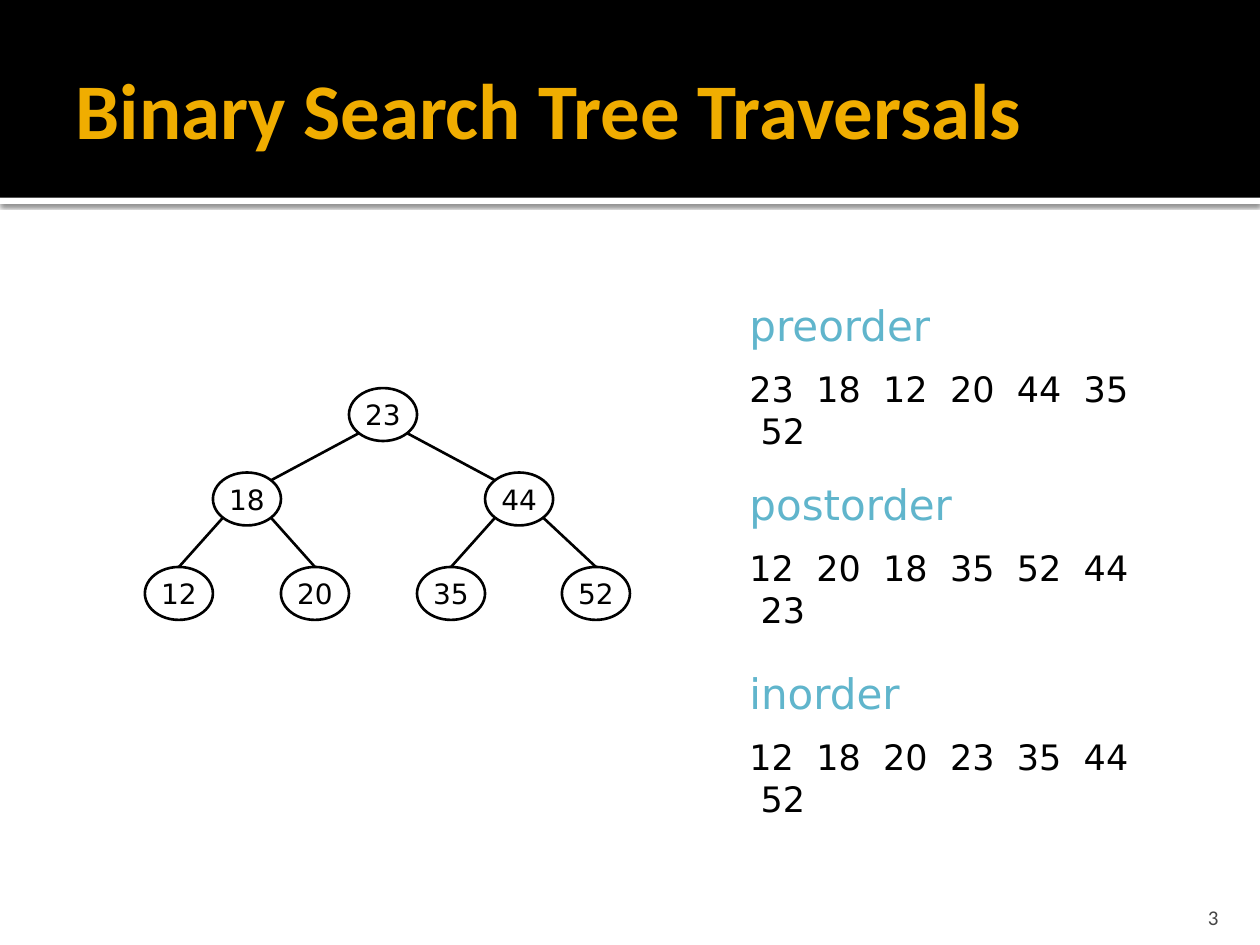
from collections import namedtuple
from dataclasses import dataclass

from lxml.etree import SubElement
from pptx import Presentation
from pptx.dml.color import RGBColor
from pptx.enum.shapes import MSO_CONNECTOR, MSO_SHAPE
from pptx.enum.text import MSO_ANCHOR, MSO_AUTO_SIZE, PP_ALIGN
from pptx.oxml.ns import qn
from pptx.util import Pt


@dataclass(frozen=True)
class Theme:
    heading_font: str = "Calibri"
    body_font: str = "DejaVu Sans"
    black: RGBColor = RGBColor(0, 0, 0)
    white: RGBColor = RGBColor(255, 255, 255)
    gold: RGBColor = RGBColor(0xF0, 0xAD, 0x00)
    teal: RGBColor = RGBColor(0x60, 0xB5, 0xCC)
    gray: RGBColor = RGBColor(0x45, 0x45, 0x45)
    title_size: int = 45
    order_size: int = 24
    keys_size: int = 20
    node_size: int = 16
    number_size: int = 12
    line_width: float = 1.5


THEME = Theme()
Box = namedtuple("Box", "left top width height")
Node = namedtuple("Node", "key column level parent")

# The column is the inorder position; the last leaf stands slightly apart.
TREE = [
    Node(23, 3, 0, None),
    Node(18, 1, 1, 23),
    Node(44, 5, 1, 23),
    Node(12, 0, 2, 18),
    Node(20, 2, 2, 18),
    Node(35, 4, 2, 44),
    Node(52, 6.13, 2, 44),
]
LEVEL_TOPS = [0, 48.24, 102.24]
NODE_HEIGHT = 30.24
DIAGONAL = 0.85  # share of the ellipse box where an edge meets the outline

TRAVERSALS = [
    ("preorder", 167.76, [23, 18, 12, 20, 44, 35, 52]),
    ("postorder", 270, [12, 20, 18, 35, 52, 44, 23]),
    ("inorder", 378, [12, 18, 20, 23, 35, 44, 52]),
]
KEY_GAP = " " + chr(160)  # a space and a no-break space


def in_points(box):
    return [Pt(length) for length in box]


def style(paragraph, font_name, size, color, bold=False):
    for run in paragraph.runs:
        run.font.name = font_name
        run.font.size = Pt(size)
        run.font.color.rgb = color
        run.font.bold = bold


def set_margins(frame, left, top, right, bottom):
    frame.margin_left, frame.margin_top = Pt(left), Pt(top)
    frame.margin_right, frame.margin_bottom = Pt(right), Pt(bottom)


def add_band(slide, box, color):
    band = slide.shapes.add_shape(MSO_SHAPE.RECTANGLE, *in_points(box))
    band.shadow.inherit = False
    band.fill.solid()
    band.fill.fore_color.rgb = color
    band.line.fill.background()
    return band


def add_drop_shadow(shape):
    effects = shape.element.spPr.find(qn("a:effectLst"))
    shadow = SubElement(effects, qn("a:outerShdw"), blurRad=str(Pt(2.5)),
                        dist=str(Pt(0.8)), dir="5400000", algn="tl", rotWithShape="0")
    color = SubElement(shadow, qn("a:srgbClr"), val=str(THEME.black))
    SubElement(color, qn("a:alpha"), val="60000")


def add_header(slide, box, heading):
    strip = add_band(slide, Box(box.left, box.top + box.height, box.width, 3.6), THEME.white)
    add_drop_shadow(strip)
    add_band(slide, box, THEME.black)

    title = slide.shapes.title
    title.element.getparent().append(title.element)  # in front of the bands
    title.left, title.top, title.width, title.height = in_points(
        Box(box.left + 36, box.top + 12.24, box.width - 72, 98.64))
    frame = title.text_frame
    frame.text = heading
    frame.auto_size = MSO_AUTO_SIZE.NONE
    frame.vertical_anchor = MSO_ANCHOR.MIDDLE
    set_margins(frame, 7.2, 3.6, 3.6, 3.6)
    frame.paragraphs[0].alignment = PP_ALIGN.LEFT
    style(frame.paragraphs[0], THEME.heading_font, THEME.title_size, THEME.gold, bold=True)


def add_node(slide, box, key):
    ellipse = slide.shapes.add_shape(MSO_SHAPE.OVAL, *in_points(box))
    ellipse.shadow.inherit = False
    ellipse.fill.background()
    ellipse.line.color.rgb = THEME.black
    ellipse.line.width = Pt(THEME.line_width)
    frame = ellipse.text_frame
    frame.text = str(key)
    frame.word_wrap = False
    frame.vertical_anchor = MSO_ANCHOR.MIDDLE
    frame.paragraphs[0].alignment = PP_ALIGN.CENTER
    style(frame.paragraphs[0], THEME.body_font, THEME.node_size, THEME.black)


def add_edge(slide, parent, child, child_is_leaf):
    """Join the parent's lower diagonal to the top of a leaf or the near shoulder of a branch."""
    goes_left = child.left < parent.left
    near, far = (1 - DIAGONAL, DIAGONAL) if goes_left else (DIAGONAL, 1 - DIAGONAL)
    end_x, end_y = (0.5, 0) if child_is_leaf else (far, 1 - DIAGONAL)
    edge = slide.shapes.add_connector(
        MSO_CONNECTOR.STRAIGHT,
        Pt(parent.left + near * parent.width), Pt(parent.top + DIAGONAL * parent.height),
        Pt(child.left + end_x * child.width), Pt(child.top + end_y * child.height))
    edge.line.color.rgb = THEME.black
    edge.line.width = Pt(THEME.line_width)
    SubElement(edge.element.spPr, qn("a:effectLst"))


def add_tree(slide, box):
    column_width = box.width / (TREE[-1].column + 1)
    parents = {node.parent for node in TREE}
    places = {}
    for node in TREE:
        place = Box(box.left + node.column * column_width,
                    box.top + LEVEL_TOPS[node.level], column_width, NODE_HEIGHT)
        places[node.key] = place
        add_node(slide, place, node.key)
        if node.parent is not None:
            add_edge(slide, places[node.parent], place, node.key not in parents)


def add_traversal(slide, box, order, keys):
    frame = slide.shapes.add_textbox(*in_points(box)).text_frame
    frame.word_wrap = True
    frame.text = order
    style(frame.paragraphs[0], THEME.body_font, THEME.order_size, THEME.teal)
    visited = frame.add_paragraph()
    visited.text = KEY_GAP.join(str(key) for key in keys)
    visited.space_before = Pt(10)
    style(visited, THEME.body_font, THEME.keys_size, THEME.black)


def add_slide_number(slide, box, number):
    frame = slide.shapes.add_textbox(*in_points(box)).text_frame
    frame.text = str(number)
    frame.word_wrap = True
    frame.vertical_anchor = MSO_ANCHOR.BOTTOM
    set_margins(frame, 7.2, 3.6, 7.2, 0)
    frame.paragraphs[0].alignment = PP_ALIGN.RIGHT
    style(frame.paragraphs[0], THEME.heading_font, THEME.number_size, THEME.gray)


def main():
    deck = Presentation()
    deck.slide_width, deck.slide_height = Pt(720), Pt(540)
    slide = deck.slides.add_slide(deck.slide_layouts[5])
    add_header(slide, Box(0, 0, 720, 113), "Binary Search Tree Traversals")
    add_tree(slide, Box(82.8, 221.76, 277.2, 132.48))
    for order, top, keys in TRAVERSALS:
        add_traversal(slide, Box(421.2, top, 232.56, 97.2), order, keys)
    add_slide_number(slide, Box(645.84, 509.76, 57.6, 21.6), 3)
    deck.save("out.pptx")


if __name__ == "__main__":
    main()
